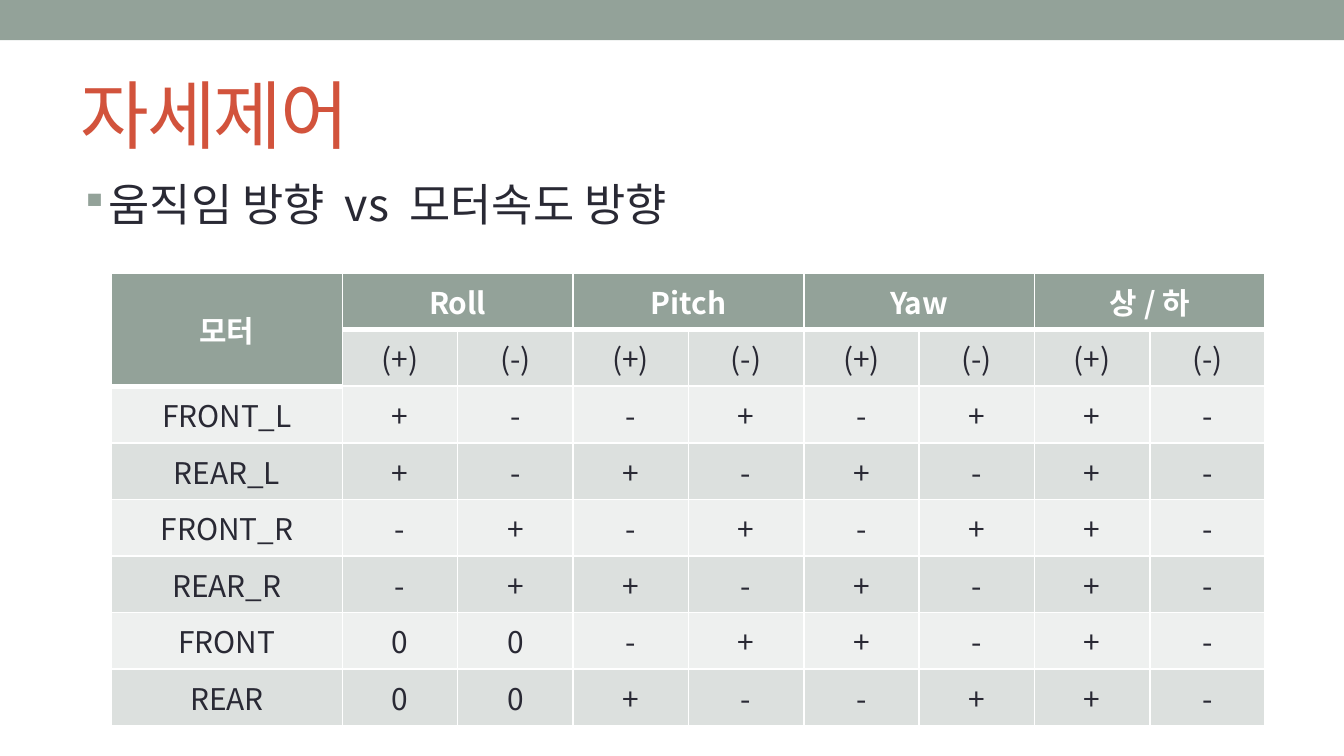
from lxml import etree
from pptx import Presentation
from pptx.dml.color import RGBColor
from pptx.enum.shapes import MSO_SHAPE
from pptx.enum.text import MSO_ANCHOR, PP_ALIGN
from pptx.oxml.ns import qn
from pptx.util import Cm, Pt

RECTANGLE = MSO_SHAPE.RECTANGLE
MIDDLE, TOP = MSO_ANCHOR.MIDDLE, MSO_ANCHOR.TOP
CENTER = PP_ALIGN.CENTER

FONT = "Noto Sans CJK KR"
SAGE, RED, INK, WHITE = "93A299", "D2533C", "292934", "FFFFFF"
BANDS = ("EEF0EF", "DCE0DE")

GROUPS = ["Roll", "Pitch", "Yaw", "상 / 하"]
MOTORS = [
    ("FRONT_L", "+--+-++-"),
    ("REAR_L", "+-+-+-+-"),
    ("FRONT_R", "-+-+-++-"),
    ("REAR_R", "-++-+-+-"),
    ("FRONT", "00-++-+-"),
    ("REAR", "00+--++-"),
]


def colour(value):
    return RGBColor.from_string(value)


class SlideBuilder:
    def __init__(self, page):
        self.page = page

    def style(self, paragraph, size, ink, bold=False):
        for span in paragraph.runs:
            span.font.size = Pt(size)
            span.font.bold = bold
            span.font.color.rgb = colour(ink)
            span.font.name = FONT
            east_asian = etree.SubElement(span._r.get_or_add_rPr(), qn("a:ea"))
            east_asian.set("typeface", FONT)

    def bar(self, left, top, width, height, fill):
        shape = self.page.shapes.add_shape(RECTANGLE, left, top, width, height)
        shape.shadow.inherit = False
        shape.fill.solid()
        shape.fill.fore_color.rgb = colour(fill)
        shape.line.fill.background()

    def text(self, words, left, top, width, height, size, ink, anchor=TOP):
        box = self.page.shapes.add_textbox(left, top, width, height)
        box.text_frame.word_wrap = True
        box.text_frame.vertical_anchor = anchor
        box.text_frame.text = words
        paragraph = box.text_frame.paragraphs[0]
        self.style(paragraph, size, ink)
        return paragraph

    def bullet(self, paragraph, symbol, ink, percent, indent):
        properties = paragraph._p.get_or_add_pPr()
        properties.set("marL", str(indent))
        properties.set("indent", str(-indent))
        bullet_colour = etree.SubElement(properties, qn("a:buClr"))
        etree.SubElement(bullet_colour, qn("a:srgbClr")).set("val", ink)
        size = etree.SubElement(properties, qn("a:buSzPct"))
        size.set("val", str(percent * 1000))
        etree.SubElement(properties, qn("a:buChar")).set("char", symbol)

    def table(self, left, top, widths, row_height, row_count):
        frame = self.page.shapes.add_table(
            row_count, len(widths), left, top, sum(widths), row_height * row_count)
        for column, width in zip(frame.table.columns, widths):
            column.width = width
        return frame.table

    def cell(self, cell, words, fill, ink, bold=False, top=1, bottom=1):
        cell.fill.solid()
        cell.fill.fore_color.rgb = colour(fill)
        cell.vertical_anchor = MIDDLE
        cell.text_frame.text = words
        paragraph = cell.text_frame.paragraphs[0]
        paragraph.alignment = CENTER
        self.style(paragraph, 16, ink, bold)
        sides = {"a:lnL": 1, "a:lnR": 1, "a:lnT": top, "a:lnB": bottom}
        for index, (side, points) in enumerate(sides.items()):
            line = etree.Element(qn(side), w=str(Pt(points)))
            solid = etree.SubElement(line, qn("a:solidFill"))
            etree.SubElement(solid, qn("a:srgbClr")).set("val", WHITE)
            cell._tc.get_or_add_tcPr().insert(index, line)


def main():
    deck = Presentation()
    deck.slide_width, deck.slide_height = Cm(25.4), Cm(14.29)
    page = deck.slides.add_slide(deck.slide_layouts[6])
    builder = SlideBuilder(page)

    # Top band and title
    builder.bar(0, 0, deck.slide_width, Cm(0.76), SAGE)
    title = builder.text("자세제어", Cm(1.27), Cm(1.12), Cm(22.86), Cm(2.06),
                         40, RED, MIDDLE)
    title.runs[0].font._element.set("spc", "-100")

    # Motor table: two header rows, then one row per motor
    widths = [Cm(4.36)] + [Cm(2.18)] * 8
    table = builder.table(Cm(2.11), Cm(5.16), widths, Cm(1.07), len(MOTORS) + 2)
    headings = ["모터"] + [part for group in GROUPS for part in (group, "")]
    signs = [""] + ["(+)", "(-)"] * len(GROUPS)
    rows = [headings, signs] + [[name, *marks] for name, marks in MOTORS]
    for r, row in enumerate(rows):
        for c, words in enumerate(row):
            is_header = r == 0 or (r == 1 and c == 0)
            below_header = r == (2 if c == 0 else 1)
            builder.cell(table.cell(r, c), words,
                         SAGE if is_header else BANDS[r % 2],
                         WHITE if is_header else INK, is_header,
                         top=3 if below_header else 1,
                         bottom=3 if is_header else 1)
    table.cell(0, 0).merge(table.cell(1, 0))
    for c in range(1, len(widths), 2):
        table.cell(0, c).merge(table.cell(0, c + 1))

    # Subject line
    subject = builder.text("움직임 방향  vs  모터속도 방향", Cm(1.27), Cm(3.33),
                           Cm(22.86), Cm(3.81), 24, INK)
    subject.line_spacing = 0.9
    builder.bullet(subject, "▪", SAGE, 85, Cm(0.5))

    deck.save("out.pptx")


if __name__ == "__main__":
    main()
